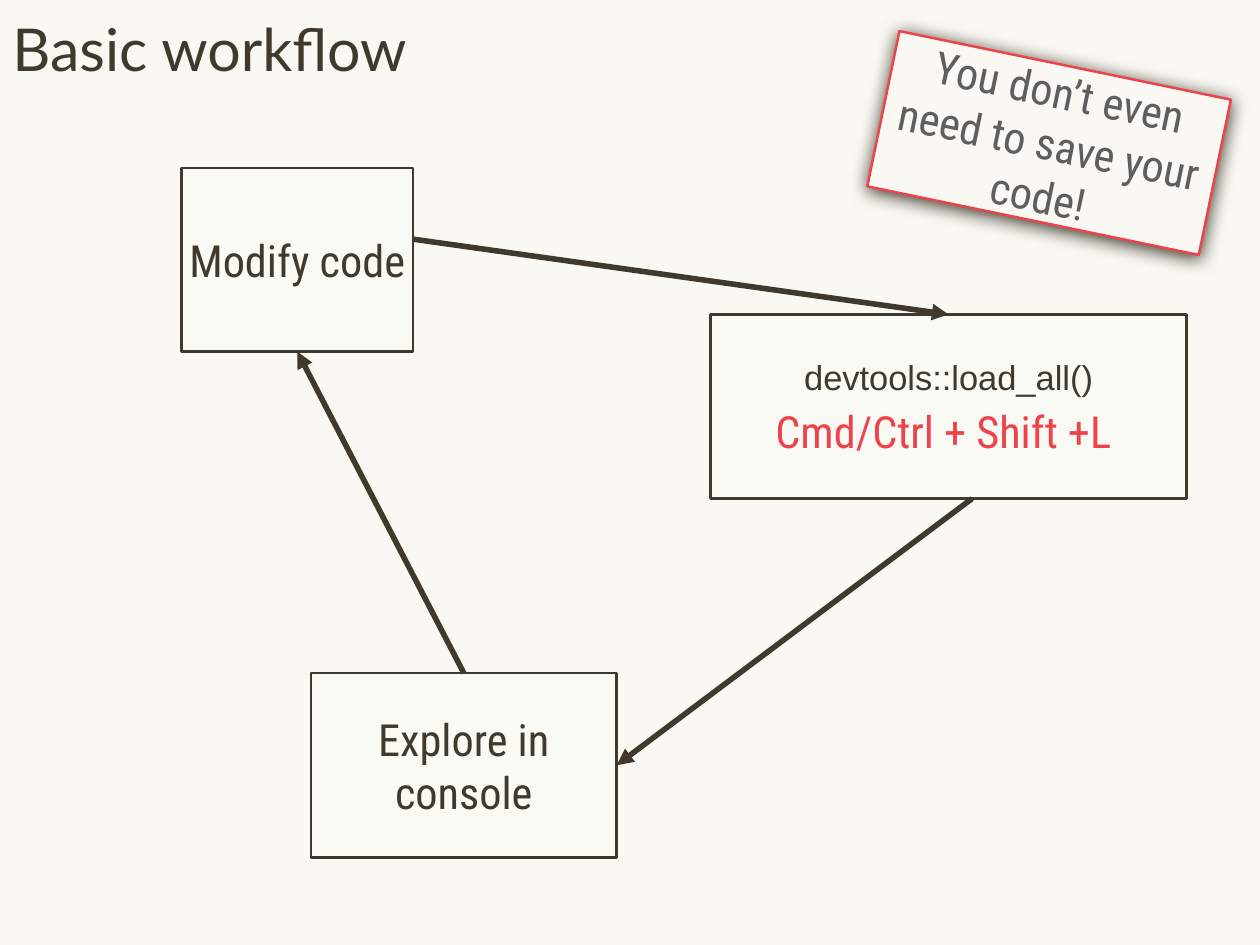
from lxml import etree
from pptx import Presentation
from pptx import util as u
from pptx.dml.color import RGBColor
from pptx.enum import shapes, text
from pptx.oxml import ns

CREAM = RGBColor(0xF9, 0xF8, 0xF2)
WHITE = RGBColor(0xFF, 0xFF, 0xFF)
BROWN = RGBColor(0x3F, 0x3A, 0x2D)
RED = RGBColor(0xEE, 0x43, 0x4D)
GRAY = RGBColor(0x5E, 0x5E, 0x5E)
BODY_FONT = "Roboto Condensed"
TOP, LEFT, BOTTOM, RIGHT = range(4)


def add_element(parent, tag, **attributes):
    """Append a drawing element such as a:tailEnd."""
    return etree.SubElement(parent, ns.qn(tag), **attributes)


class WorkflowSlide:
    """Holds the slide and its style, with a method per kind of element."""

    def __init__(self, presentation):
        self.slide = presentation.slides.add_slide(presentation.slide_layouts[5])
        background = self.slide.background.fill
        background.solid()
        background.fore_color.rgb = CREAM

    def add_text(self, shape, lines, inset, align, anchor):
        """Fill a shape with lines of (wording, size, font, color)."""
        frame = shape.text_frame
        frame.word_wrap = True
        frame.auto_size = text.MSO_AUTO_SIZE.NONE
        frame.vertical_anchor = anchor
        frame.margin_left = frame.margin_right = u.Inches(inset)
        frame.margin_top = frame.margin_bottom = u.Inches(inset)
        for index, (wording, size, font, color) in enumerate(lines):
            paragraph = frame.add_paragraph() if index else frame.paragraphs[0]
            paragraph.alignment = align
            paragraph.space_before = u.Pt(6 if index else 0)
            run = paragraph.add_run()
            run.text = wording
            run.font.size = u.Pt(size)
            run.font.name = font
            run.font.color.rgb = color

    def title(self, wording):
        shape = self.slide.shapes.title
        shape.left, shape.top = u.Inches(0), u.Inches(0)
        shape.width, shape.height = u.Inches(14.22), u.Inches(1.08)
        self.add_text(shape, [(wording, 48, "Lato", BROWN)], 0.14,
                      text.PP_ALIGN.LEFT, text.MSO_ANCHOR.TOP)

    def box(self, place, lines, fill=WHITE, line=BROWN, inset=0.07):
        shape = self.slide.shapes.add_shape(
            shapes.MSO_SHAPE.RECTANGLE, *(u.Inches(length) for length in place))
        shape.shadow.inherit = False
        shape.fill.solid()
        shape.fill.fore_color.rgb = fill
        shape.line.color.rgb = line
        shape.line.width = u.Pt(2)
        self.add_text(shape, lines, inset,
                      text.PP_ALIGN.CENTER, text.MSO_ANCHOR.MIDDLE)
        return shape

    def step(self, place, lines):
        """A workflow box with a 30 % opaque fill."""
        shape = self.box(place, lines)
        color = shape.element.spPr.find(ns.qn("a:solidFill"))[0]
        add_element(color, "a:alpha", val="30000")
        return shape

    def note(self, place, lines, rotation):
        """A tilted box with a soft shadow."""
        shape = self.box(place, lines, CREAM, RED, 0.14)
        shape.rotation = rotation
        effects = shape.element.spPr.find(ns.qn("a:effectLst"))
        shadow = add_element(effects, "a:outerShdw", blurRad=str(u.Pt(15)),
                             dist=str(u.Pt(2)), dir="5400000", rotWithShape="0")
        add_element(shadow, "a:srgbClr", val=str(BROWN))

    def arrow(self, start, end, begin_joint=None, end_joint=None):
        connector = self.slide.shapes.add_connector(
            shapes.MSO_CONNECTOR.STRAIGHT,
            *(u.Inches(length) for length in start + end))
        if begin_joint:
            connector.begin_connect(*begin_joint)
        if end_joint:
            connector.end_connect(*end_joint)
        connector.line.color.rgb = BROWN
        connector.line.width = u.Pt(4.5)
        properties = connector.element.spPr
        add_element(properties.find(ns.qn("a:ln")), "a:tailEnd", type="triangle")
        add_element(properties, "a:effectLst")


def main():
    presentation = Presentation()
    presentation.slide_width = u.Inches(14.22)
    presentation.slide_height = u.Inches(10.67)
    workflow = WorkflowSlide(presentation)
    workflow.title("Basic workflow")

    # Workflow steps and side note
    modify = workflow.step((2.05, 1.9, 2.61, 2.07),
                           [("Modify code", 36, BODY_FONT, BROWN)])
    workflow.note((9.93, 0.72, 3.82, 1.79),
                  [("You don’t even need to save your code!", 36, BODY_FONT, GRAY)],
                  11.7)
    load = workflow.step((8.02, 3.55, 5.37, 2.08),
                         [("devtools::load_all()", 28, "Arial", BROWN),
                          ("Cmd/Ctrl + Shift +L ", 36, BODY_FONT, RED)])
    explore = workflow.step((3.51, 7.6, 3.45, 2.08),
                            [("Explore in console", 36, BODY_FONT, BROWN)])

    # Arrows around the cycle
    workflow.arrow((4.66, 2.7), (10.7, 3.55), end_joint=(load, TOP))
    workflow.arrow((10.97, 5.63), (6.96, 8.64), end_joint=(explore, RIGHT))
    workflow.arrow((5.24, 7.6), (3.36, 3.97), (explore, TOP), (modify, BOTTOM))

    presentation.save("out.pptx")


if __name__ == "__main__":
    main()
